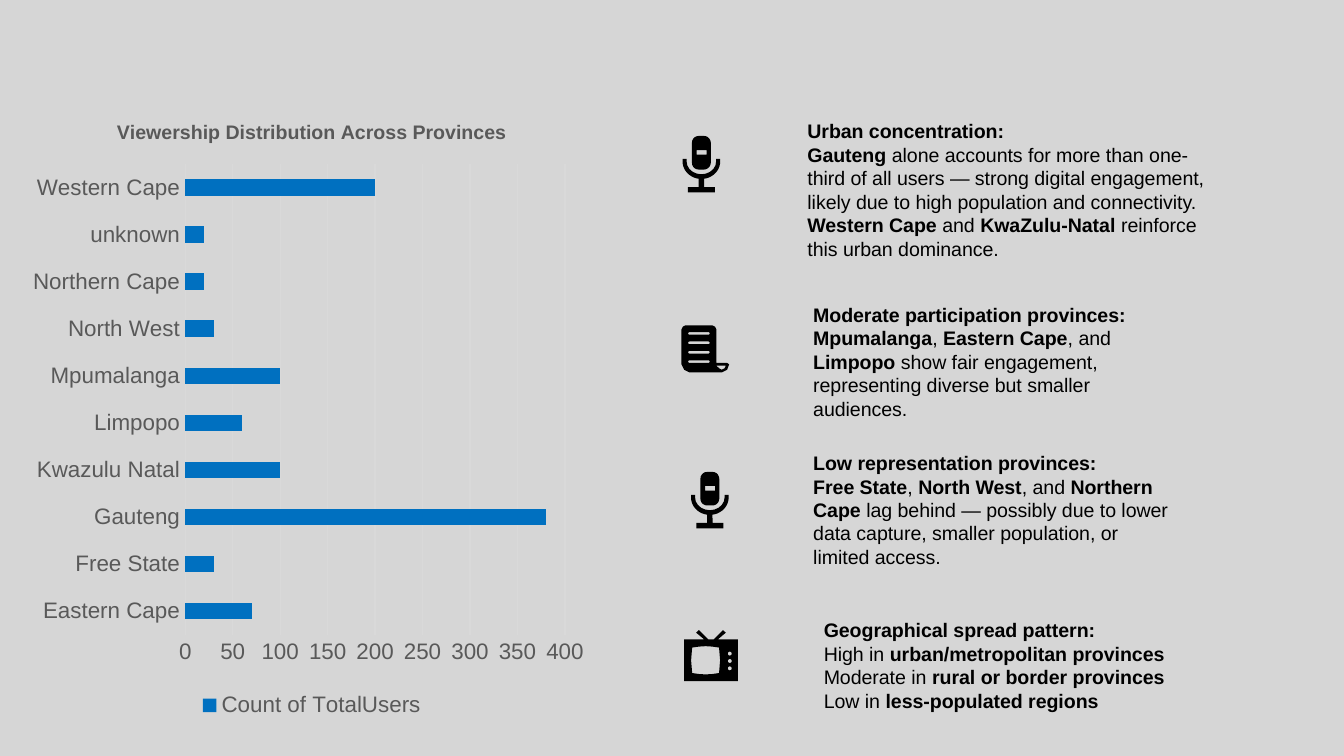
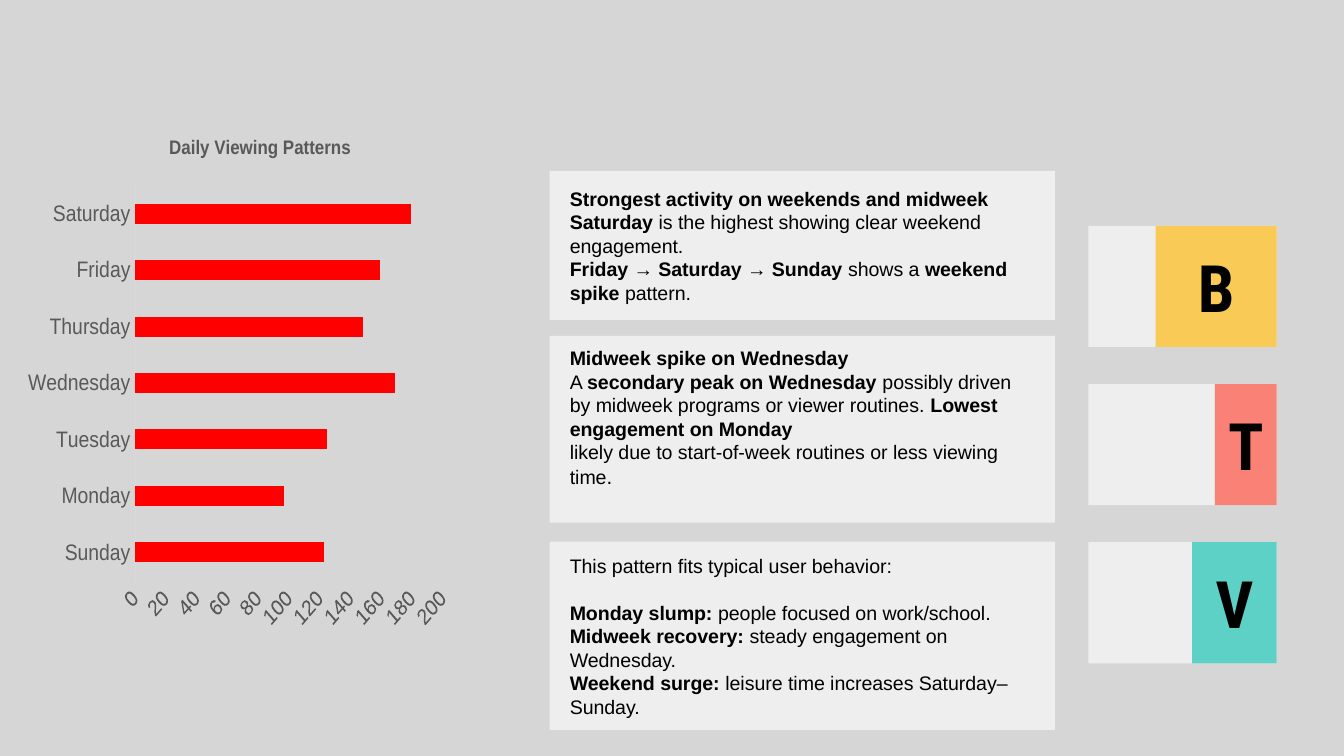
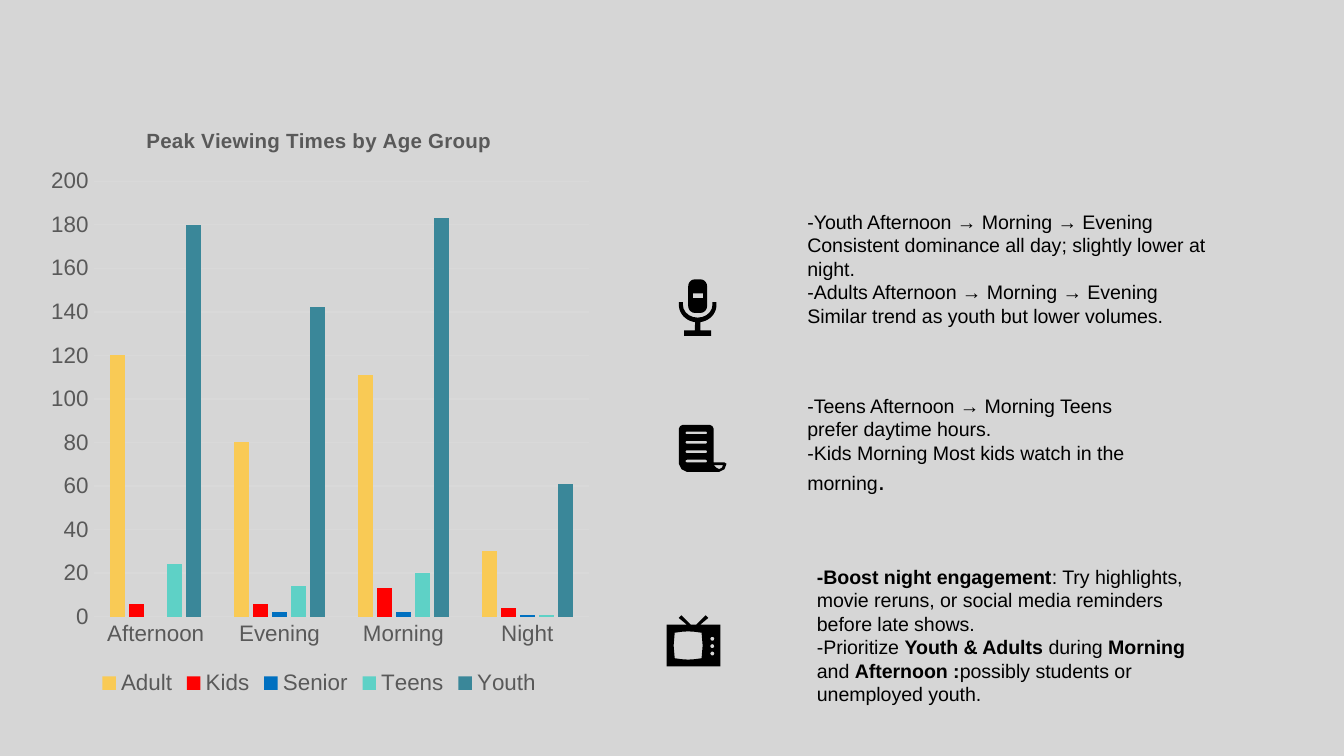
import math
from dataclasses import dataclass

from pptx import Presentation
from pptx import oxml
from pptx import util as u
from pptx.chart import data
from pptx.dml import color
from pptx.enum import chart as charts
from pptx.enum import shapes, text
from pptx.oxml import ns


@dataclass(frozen=True)
class Theme:
    back: str = "D6D6D6"
    panel: str = "EEEEEE"
    ink: str = "000000"
    label: str = "595959"
    rule: str = "D9D9D9"
    blue: str = "0070C0"
    red: str = "FF0000"
    yellow: str = "F9CA55"
    coral: str = "FA8175"
    mint: str = "5ED1C6"
    teal: str = "3A8799"
    font: str = "Arial"
    badge_font: str = "Roboto Condensed"
    body_size: float = 10.5
    axis_size: float = 12
    badge_size: float = 35


THEME = Theme()
INSETS = (0.38, 0.25, 0.38, 0.25)
BAR = charts.XL_CHART_TYPE.BAR_CLUSTERED
COLUMN = charts.XL_CHART_TYPE.COLUMN_CLUSTERED

PROVINCES = {
    "chart": {
        "at": (0.46, 1.8, 10.87, 11.86), "kind": BAR, "gap": 182,
        "title": "Viewership Distribution Across Provinces",
        "plot": (0.28, 0.11, 0.66, 0.75), "grid": True, "legend": True,
        "names": ["Eastern Cape", "Free State", "Gauteng", "Kwazulu Natal", "Limpopo",
                  "Mpumalanga", "North West", "Northern Cape", "unknown", "Western Cape"],
        "series": [("Count of TotalUsers", [70, 30, 380, 100, 60, 100, 30, 20, 20, 200], THEME.blue)],
    },
    "notes": [
        {"at": (14.88, 2.11, 8.41, 2.95), "lines": [
            "**Urban concentration:**",
            "**Gauteng** alone accounts for more than one-third of all users — strong digital "
            "engagement, likely due to high population and connectivity.",
            "**Western Cape** and **KwaZulu-Natal** reinforce this urban dominance."]},
        {"at": (14.99, 5.49, 7.57, 2.69), "lines": [
            "**Moderate participation provinces:**",
            "**Mpumalanga**, **Eastern Cape**, and **Limpopo** show fair engagement, "
            "representing diverse but smaller audiences."]},
        {"at": (14.99, 8.38, 7.52, 2.51), "lines": [
            "**Low representation provinces:**",
            "**Free State**, **North West**, and **Northern Cape** lag behind — possibly due to "
            "lower data capture, smaller population, or limited access."]},
        {"at": (15.32, 11.56, 9.32, 2.49), "insets": (0.25, 0.13, 0.25, 0.13),
         "anchor": text.MSO_ANCHOR.TOP, "lines": [
             "**Geographical spread pattern:**",
             "High in **urban/metropolitan provinces**",
             "Moderate in **rural or border provinces**",
             "Low in **less-populated regions**"]},
    ],
    "icons": [("mic", 12.9, 2.57), ("paper", 12.88, 6.15), ("mic", 13.06, 8.92), ("tv", 12.93, 11.91)],
}

DAYS = {
    "chart": {
        "at": (0.53, 2.11, 7.98, 11.07), "kind": BAR, "gap": 182,
        "title": "Daily Viewing Patterns", "plot": (0.16, 0.126, 0.842, 0.675),
        "names": ["Sunday", "Monday", "Tuesday", "Wednesday", "Thursday", "Friday", "Saturday"],
        "series": [("Series 1", [123, 97, 125, 169, 148, 159, 179], THEME.red)],
    },
    "notes": [
        {"at": (10.39, 3.23, 9.55, 2.82), "fill": THEME.panel, "lines": [
            "**Strongest activity on weekends and midweek**",
            "**Saturday** is the highest showing clear weekend engagement.",
            "**Friday → Saturday → Sunday** shows a **weekend spike** pattern."]},
        {"at": (10.39, 6.35, 9.55, 3.53), "fill": THEME.panel,
         "insets": (0.38, 0.25, 0.38, 0.7), "tail": (".", 11), "lines": [
             "**Midweek spike on Wednesday**",
             "A **secondary peak on Wednesday **possibly driven by midweek programs or viewer "
             "routines.** Lowest engagement on Monday**",
             "likely due to start-of-week routines or less viewing time"]},
        {"at": (10.39, 10.24, 9.55, 3.56), "fill": THEME.panel, "lead_gap": 12.5, "lines": [
            "This pattern fits typical user behavior:",
            "**Monday slump:** people focused on work/school.",
            "**Midweek recovery:** steady engagement on Wednesday.",
            "**Weekend surge:** leisure time increases Saturday–Sunday."]},
    ],
    "badges": [("B", 2.29, THEME.yellow), ("T", 1.17, THEME.coral), ("V", 1.6, THEME.mint)],
}

AGES = {
    "chart": {
        "at": (0.71, 1.96, 10.64, 11.28), "kind": COLUMN, "gap": 219, "overlap": -27,
        "title": "Peak Viewing Times by Age Group", "title_size": 11,
        "plot": (0.1, 0.13, 0.88, 0.73), "grid": True, "legend": True,
        "names": ["Afternoon", "Evening", "Morning", "Night"],
        "series": [("Adult", [120, 80, 111, 30], THEME.yellow),
                   ("Kids", [6, 6, 13, 4], THEME.red),
                   ("Senior", [None, 2, 2, 1], THEME.blue),
                   ("Teens", [24, 14, 20, 1], THEME.mint),
                   ("Youth", [180, 142, 183, 61], THEME.teal)],
    },
    "notes": [
        {"at": (14.88, 3.73, 8.41, 3.12), "insets": (0.38, 0.25, 0.38, 0.68), "lines": [
            "-Youth Afternoon → Morning → Evening Consistent dominance all day; slightly lower at night.",
            "-Adults Afternoon → Morning → Evening Similar trend as youth but lower volumes."]},
        {"at": (14.88, 7.26, 7.57, 2.29), "tail": (".", 14), "lines": [
            "-Teens Afternoon → Morning Teens prefer daytime hours.",
            "-Kids Morning Most kids watch in the morning"]},
        {"at": (15.06, 9.73, 8.36, 4.55), "lines": [
            "**-Boost night engagement**: Try highlights, movie reruns, or social media reminders "
            "before late shows.",
            "-Prioritize **Youth & Adults** during **Morning **and **Afternoon :**possibly "
            "students or unemployed youth."]},
    ],
    "icons": [("mic", 12.83, 5.28), ("paper", 12.83, 8.03), ("tv", 12.6, 11.63)],
}


def arc(cx, cy, rx, ry, start, end, steps=10):
    angles = [math.radians(start + (end - start) * i / steps) for i in range(steps + 1)]
    return [(cx + rx * math.cos(a), cy + ry * math.sin(a)) for a in angles]


def rounded(x, y, w, h, r):
    corners = [(x + w - r, y + r, -90), (x + w - r, y + h - r, 0),
               (x + r, y + h - r, 90), (x + r, y + r, 180)]
    return [dot for cx, cy, a in corners for dot in arc(cx, cy, r, r, a, a + 90, 5)]


ICON_UNIT = 0.0254
ICONS = {
    "mic": [
        [[(0, 17)] + arc(14, 19, 14, 13, 180, 98)
         + [(12, 38), (4, 38), (4, 42), (24, 42), (24, 38), (16, 38)]
         + arc(14, 19, 14, 13, 82, 0) + [(28, 17), (25, 17)]
         + arc(14, 19, 11, 9.5, 0, 180) + [(3, 17)]],
        [rounded(7, 0, 14, 25, 5), [(10.5, 10.5), (18, 10.5), (18, 14), (10.5, 14)]],
    ],
    "paper": [
        [[(3, 0), (1, 1), (0, 3), (0, 29), (2, 33), (6, 35), (30, 35), (34, 33), (35.5, 29),
          (34, 28), (26, 28), (26, 3), (25, 1), (23, 0)],
         [(33, 30), (32, 32), (30, 33), (28, 32), (26, 30)]]
        + [rounded(5, 5 + 7 * i, 16, 2, 1) for i in range(4)],
    ],
    "tv": [
        [[(11, 0), (9, 2), (15, 7), (0, 7), (0, 38), (40, 38), (40, 7), (25, 7), (31, 2),
          (29, 0), (22, 7), (18, 7)],
         [(6, 13), (11, 12.3), (16, 12), (21, 12.3), (26, 13), (26.8, 22.5), (26, 32),
          (21, 32.7), (16, 33), (11, 32.7), (6, 32), (5.2, 22.5)]]
        + [arc(34, y, 1.5, 1.5, 0, 330, 11) for y in (17.5, 23, 28.5)],
    ],
}


def rgb(value):
    return color.RGBColor.from_string(value)


def cm(values):
    return [u.Cm(v) for v in values]


def paint(shape, fill):
    shape.shadow.inherit = False
    shape.line.fill.background()
    shape.fill.solid()
    shape.fill.fore_color.rgb = rgb(fill)


def style(font, size, ink, bold=False, name=THEME.font):
    font.name, font.size, font.bold = name, u.Pt(size), bold
    font.color.rgb = rgb(ink)


def add_span(para, words, size=THEME.body_size, bold=False, name=THEME.font):
    span = para.add_run()
    span.text = words
    style(span.font, size, THEME.ink, bold, name)


def add_panel(page, at, fill):
    box = page.shapes.add_shape(shapes.MSO_SHAPE.RECTANGLE, *cm(at))
    paint(box, fill)
    return box


def set_frame(box, insets, anchor=text.MSO_ANCHOR.MIDDLE):
    frame = box.text_frame
    frame.word_wrap = True
    frame.vertical_anchor = anchor
    frame.margin_left, frame.margin_top, frame.margin_right, frame.margin_bottom = cm(insets)
    return frame


def add_note(page, note):
    if "fill" in note:
        box = add_panel(page, note["at"], note["fill"])
    else:
        box = page.shapes.add_textbox(*cm(note["at"]))
    frame = set_frame(box, note.get("insets", INSETS), note.get("anchor", text.MSO_ANCHOR.MIDDLE))
    for i, line in enumerate(note["lines"]):
        para = frame.add_paragraph() if i else frame.paragraphs[0]
        para.alignment = text.PP_ALIGN.LEFT
        for j, words in enumerate(line.split("**")):
            if words:
                add_span(para, words, bold=j % 2 == 1)
    if "tail" in note:
        add_span(para, *note["tail"])
    if "lead_gap" in note:
        frame.paragraphs[0].space_after = u.Pt(note["lead_gap"])


def add_icon(page, name, left, top):
    parts = ICONS[name]
    home = page.shapes.add_group_shape().shapes if len(parts) > 1 else page.shapes
    for contours in parts:
        outlines = [[(x * 100, y * 100) for x, y in contour] for contour in contours]
        builder = home.build_freeform(*outlines[0][0], scale=u.Cm(ICON_UNIT) / 100)
        for i, outline in enumerate(outlines):
            if i:
                builder.move_to(*outline[0])
            builder.add_line_segments(outline[1:], close=True)
        paint(builder.convert_to_shape(u.Cm(left), u.Cm(top)), THEME.ink)


def add_badges(page, badges):
    left, top, width, height, step = 20.57, 4.27, 3.56, 2.29, 2.99
    for i, (letter, part, fill) in enumerate(badges):
        y = top + i * step
        add_panel(page, (left, y, width, height), THEME.panel)
        box = add_panel(page, (left + width - part, y, part, height), fill)
        para = set_frame(box, (0.25,) * 4).paragraphs[0]
        para.alignment = text.PP_ALIGN.CENTER
        add_span(para, letter, THEME.badge_size, True, THEME.badge_font)


def place_plot(chart, plot):
    area = chart._chartSpace.xpath("c:chart/c:plotArea")[0]
    for old in area.xpath("c:layout"):
        area.remove(old)
    modes = "".join(f'<c:{k}Mode val="edge"/>' for k in "xy")
    sizes = "".join(f'<c:{k} val="{v}"/>' for k, v in zip("xywh", plot))
    area.insert(0, oxml.parse_xml(
        f'<c:layout {ns.nsdecls("c")}><c:manualLayout><c:layoutTarget val="inner"/>'
        f'{modes}{sizes}</c:manualLayout></c:layout>'))


def add_graph(page, graph):
    table = data.CategoryChartData()
    table.categories = graph["names"]
    for name, values, _ in graph["series"]:
        table.add_series(name, values)
    chart = page.shapes.add_chart(graph["kind"], *cm(graph["at"]), table).chart
    style(chart.font, 10, THEME.ink)

    chart.has_title = True
    title = chart.chart_title
    title.include_in_layout = False
    span = title.text_frame.paragraphs[0].add_run()
    span.text = graph["title"]
    style(span.font, graph.get("title_size", THEME.body_size), THEME.label, True)

    for axis in (chart.category_axis, chart.value_axis):
        axis.major_tick_mark = axis.minor_tick_mark = charts.XL_TICK_MARK.NONE
        axis.has_major_gridlines = False
        style(axis.tick_labels.font, THEME.axis_size, THEME.label)
    chart.value_axis.format.line.fill.background()
    lines = [chart.category_axis.format.line]
    if graph.get("grid"):
        chart.value_axis.has_major_gridlines = True
        lines.append(chart.value_axis.major_gridlines.format.line)
    for line in lines:
        line.color.rgb = rgb(THEME.rule)
        line.width = u.Pt(0.75)

    chart.has_legend = graph.get("legend", False)
    if chart.has_legend:
        chart.legend.position = charts.XL_LEGEND_POSITION.BOTTOM
        chart.legend.include_in_layout = False
        style(chart.legend.font, THEME.axis_size, THEME.label)

    plot = chart.plots[0]
    plot.vary_by_categories = False
    plot.gap_width = graph["gap"]
    plot.overlap = graph.get("overlap", 0)
    for series, (_, _, fill) in zip(plot.series, graph["series"]):
        series.invert_if_negative = False
        series.format.fill.solid()
        series.format.fill.fore_color.rgb = rgb(fill)
    place_plot(chart, graph["plot"])


def main():
    deck = Presentation()
    deck.slide_width, deck.slide_height = cm((25.4, 14.29))
    for content in (PROVINCES, DAYS, AGES):
        page = deck.slides.add_slide(deck.slide_layouts[6])
        page.background.fill.solid()
        page.background.fill.fore_color.rgb = rgb(THEME.back)
        for note in content["notes"]:
            add_note(page, note)
        for icon in content.get("icons", []):
            add_icon(page, *icon)
        add_badges(page, content.get("badges", []))
        add_graph(page, content["chart"])
    deck.save("out.pptx")


if __name__ == "__main__":
    main()
